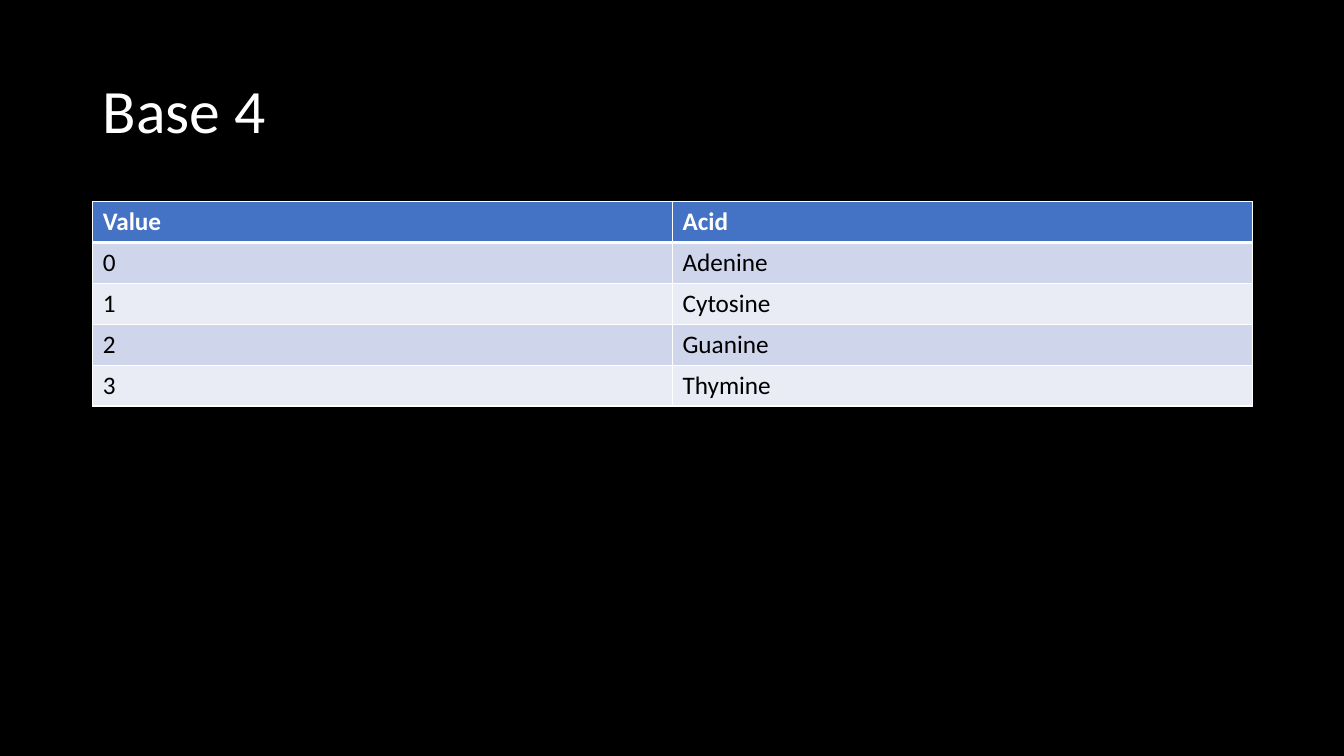
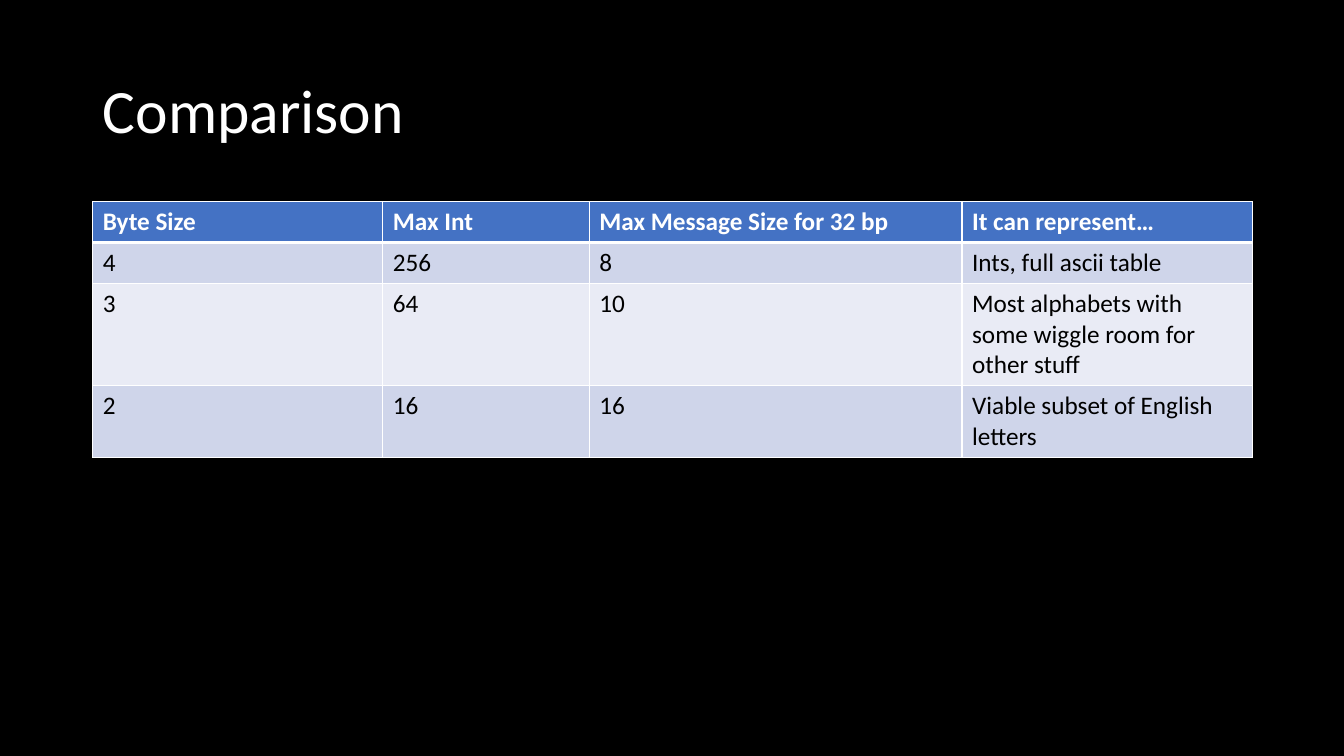
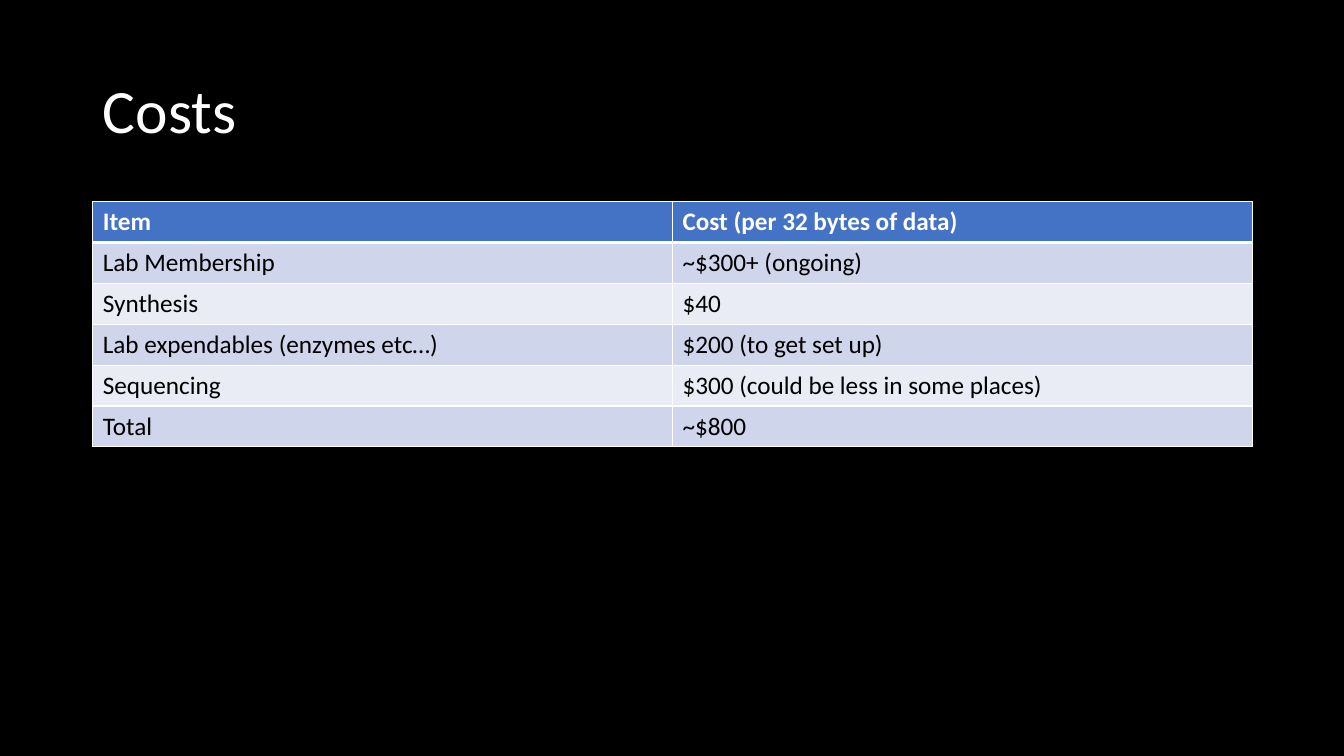
from lxml.etree import SubElement
from pptx import Presentation
from pptx.dml.color import RGBColor
from pptx.enum.text import MSO_ANCHOR, MSO_AUTO_SIZE, PP_ALIGN
from pptx.oxml.ns import qn
from pptx.util import Inches, Pt

FONT = "Calibri"
BLACK, WHITE = "000000", "FFFFFF"
HEADER_FILL = "4472C4"
BAND_FILLS = ("CFD5EA", "E9EBF5")
LEFT, CONTENT_WIDTH = 0.92, 11.5
TITLE_TOP, TITLE_HEIGHT = 0.4, 1.45
TABLE_TOP = 2
ROW_HEIGHT = Pt(29.2)
THIN, THICK = Pt(1), Pt(3)


def color(hex_string):
    return RGBColor.from_string(hex_string)


class Deck:
    """Holds the shared style and the slide being built."""

    def __init__(self):
        self.presentation = Presentation()
        self.presentation.slide_width = Inches(13.33)
        self.presentation.slide_height = Inches(7.5)
        self.slide = None

    def style_text(self, paragraph, size, text_color, bold=False):
        font = paragraph.font
        font.name, font.size, font.bold = FONT, Pt(size), bold
        font.color.rgb = color(text_color)

    def add_slide(self, title):
        layout = self.presentation.slide_layouts.get_by_name("Title Only")
        self.slide = self.presentation.slides.add_slide(layout)
        background = self.slide.background.fill
        background.solid()
        background.fore_color.rgb = color(BLACK)

        shape = self.slide.shapes.title
        shape.left, shape.top = Inches(LEFT), Inches(TITLE_TOP)
        shape.width, shape.height = Inches(CONTENT_WIDTH), Inches(TITLE_HEIGHT)
        frame = shape.text_frame
        frame.text = title
        frame.auto_size = MSO_AUTO_SIZE.NONE
        frame.vertical_anchor = MSO_ANCHOR.MIDDLE
        paragraph = frame.paragraphs[0]
        paragraph.alignment = PP_ALIGN.LEFT
        paragraph.line_spacing = 0.9
        self.style_text(paragraph, 44, WHITE)

    def add_borders(self, cell, top, bottom):
        properties = cell._tc.get_or_add_tcPr()
        widths = {"a:lnL": THIN, "a:lnR": THIN, "a:lnT": top, "a:lnB": bottom}
        for tag, width in widths.items():
            line = SubElement(properties, qn(tag), w=str(width))
            fill = SubElement(line, qn("a:solidFill"))
            SubElement(fill, qn("a:srgbClr"), val=WHITE)

    def add_table(self, rows, shares):
        """Add a banded table; shares are the relative column widths."""
        table = self.slide.shapes.add_table(
            len(rows), len(shares), Inches(LEFT), Inches(TABLE_TOP),
            Inches(CONTENT_WIDTH), ROW_HEIGHT * len(rows)).table
        for column, share in zip(table.columns, shares):
            column.width = Inches(CONTENT_WIDTH * share / sum(shares))
        for row_index, texts in enumerate(rows):
            is_header = row_index == 0
            fill = HEADER_FILL if is_header else BAND_FILLS[(row_index - 1) % 2]
            for column_index, text in enumerate(texts):
                cell = table.cell(row_index, column_index)
                cell.text = text
                self.add_borders(cell, top=THICK if row_index == 1 else THIN,
                                 bottom=THICK if is_header else THIN)
                cell.fill.solid()
                cell.fill.fore_color.rgb = color(fill)
                self.style_text(cell.text_frame.paragraphs[0], 18,
                                WHITE if is_header else BLACK, is_header)


SLIDES = [
    ("Base 4", (1, 1), [
        ("Value", "Acid"),
        ("0", "Adenine"),
        ("1", "Cytosine"),
        ("2", "Guanine"),
        ("3", "Thymine"),
    ]),
    ("Comparison", (2.88, 2.05, 3.7, 2.88), [
        ("Byte Size", "Max Int", "Max Message Size for 32 bp", "It can represent…"),
        ("4", "256", "8", "Ints, full ascii table"),
        ("3", "64", "10", "Most alphabets with some wiggle room for other stuff"),
        ("2", "16", "16", "Viable subset of English letters"),
    ]),
    ("Costs", (1, 1), [
        ("Item", "Cost (per 32 bytes of data)"),
        ("Lab Membership", "~$300+ (ongoing)"),
        ("Synthesis", "$40"),
        ("Lab expendables (enzymes etc…)", "$200 (to get set up)"),
        ("Sequencing", "$300 (could be less in some places)"),
        ("Total", "~$800"),
    ]),
]


def main():
    deck = Deck()
    for title, shares, rows in SLIDES:
        deck.add_slide(title)
        deck.add_table(rows, shares)
    deck.presentation.save("out.pptx")


if __name__ == "__main__":
    main()
